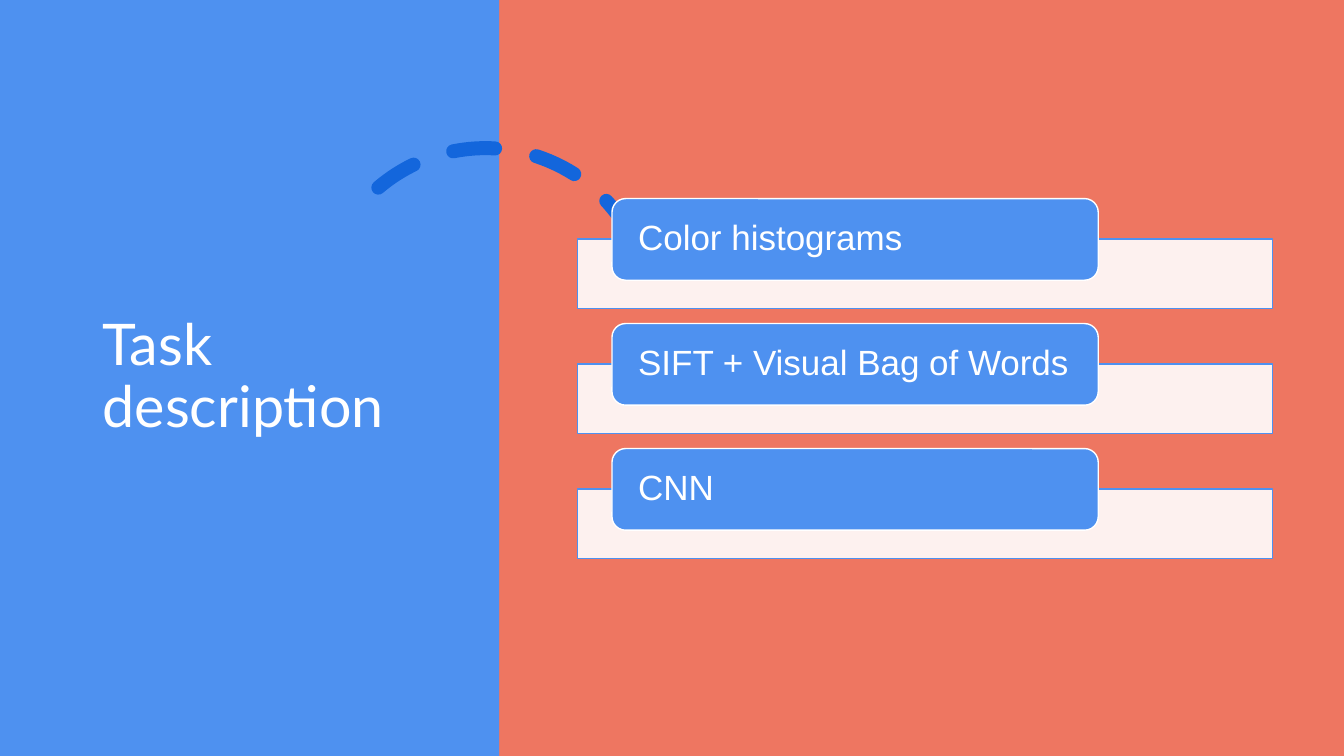
import pptx
import pptx.util
import pptx.dml.color
import pptx.enum.shapes
import pptx.enum.text
import pptx.oxml
import pptx.oxml.ns
from dataclasses import dataclass
from lxml import etree

Inches = pptx.util.Inches
Pt = pptx.util.Pt
Kind = pptx.enum.shapes.MSO_SHAPE


@dataclass(frozen=True)
class Theme:
    coral: str = "EE7661"
    blue: str = "4E91F0"
    deep: str = "1366DC"
    white: str = "FFFFFF"
    head: str = "Lato"
    body: str = "Arial"
    large: int = 41
    small: int = 25


THEME = Theme()
TASKS = ("Color histograms", "SIFT + Visual Bag of Words", "CNN")


def tint(color):
    return pptx.dml.color.RGBColor.from_string(color)


def shape(slide, kind, box, fill=None, line=None, width=1):
    item = slide.shapes.add_shape(kind, *map(Inches, box))
    item.shadow.inherit = False
    if fill:
        item.fill.solid()
        item.fill.fore_color.rgb = tint(fill)
    else:
        item.fill.background()
    if line:
        item.line.color.rgb = tint(line)
        item.line.width = Pt(width)
    else:
        item.line.fill.background()
    return item


def write(item, text, font, size, color=THEME.white, pad=(0.1, 0.05), after=0):
    frame = item.text_frame
    frame.word_wrap = True
    frame.vertical_anchor = pptx.enum.text.MSO_ANCHOR.MIDDLE
    frame.margin_left = frame.margin_right = Inches(pad[0])
    frame.margin_top = frame.margin_bottom = Inches(pad[1])
    para = frame.paragraphs[0]
    para.text = text
    para.alignment = pptx.enum.text.PP_ALIGN.LEFT
    para.line_spacing = 0.9
    para.space_after = Pt(after)
    para.font.name = font
    para.font.size = Pt(size)
    para.font.color.rgb = tint(color)


def fade(item, alpha):
    """Set the opacity of a solid fill, in percent."""
    qn = pptx.oxml.ns.qn
    color = item.fill.fore_color._xFill.find(qn("a:srgbClr"))
    etree.SubElement(color, qn("a:alpha")).set("val", str(alpha * 1000))


def arc(slide, box, start, end):
    """Draw a dashed arc between two clockwise angles in degrees."""
    item = shape(slide, Kind.ARC, box, line=THEME.deep, width=10)
    # Angles are stored in 60000ths of a degree, adjustments in 100000ths.
    item.adjustments[0] = start * 0.6
    item.adjustments[1] = end * 0.6
    line = item.line._get_or_add_ln()
    line.set("cap", "rnd")
    space = pptx.oxml.ns.nsdecls("a")
    dash = f'<a:custDash {space}><a:ds d="400000" sp="200000"/></a:custDash>'
    fill = line.find(pptx.oxml.ns.qn("a:solidFill"))
    fill.addnext(pptx.oxml.parse_xml(dash))


def panel(slide, box):
    left, top, width, height = box
    shape(slide, Kind.RECTANGLE, box, fill=THEME.blue)
    arc(slide, (left + 3.18, top + 1.47, 3.27, 3.27), 229.5, 346)
    area = (left + 0.92, top + 0.7, width - 1.72, height - 1.41)
    title = slide.shapes.add_textbox(*map(Inches, area))
    write(title, "Task description", THEME.head, THEME.large)


def tasks(slide, box, step=1.24):
    left, top, width, _ = box
    for row, text in enumerate(TASKS):
        y = top + row * step
        bar = shape(slide, Kind.RECTANGLE, (left, y + 0.4, width, 0.69),
                    fill=THEME.white, line=THEME.blue)
        fade(bar, 90)
        card = shape(slide, Kind.ROUNDED_RECTANGLE,
                     (left + 0.34, y, width * 0.7, 0.81),
                     fill=THEME.blue, line=THEME.white)
        write(card, text, THEME.body, THEME.small, pad=(0.22, 0.04), after=11)


def main():
    deck = pptx.Presentation()
    deck.slide_width = Inches(13.33)
    deck.slide_height = Inches(7.5)
    slide = deck.slides.add_slide(deck.slide_layouts[6])
    shape(slide, Kind.RECTANGLE, (0, 0, 13.33, 7.5), fill=THEME.coral)
    panel(slide, (0, 0, 4.95, 7.5))
    tasks(slide, (5.73, 1.97, 6.89, 3.57))
    deck.save("out.pptx")


if __name__ == "__main__":
    main()
